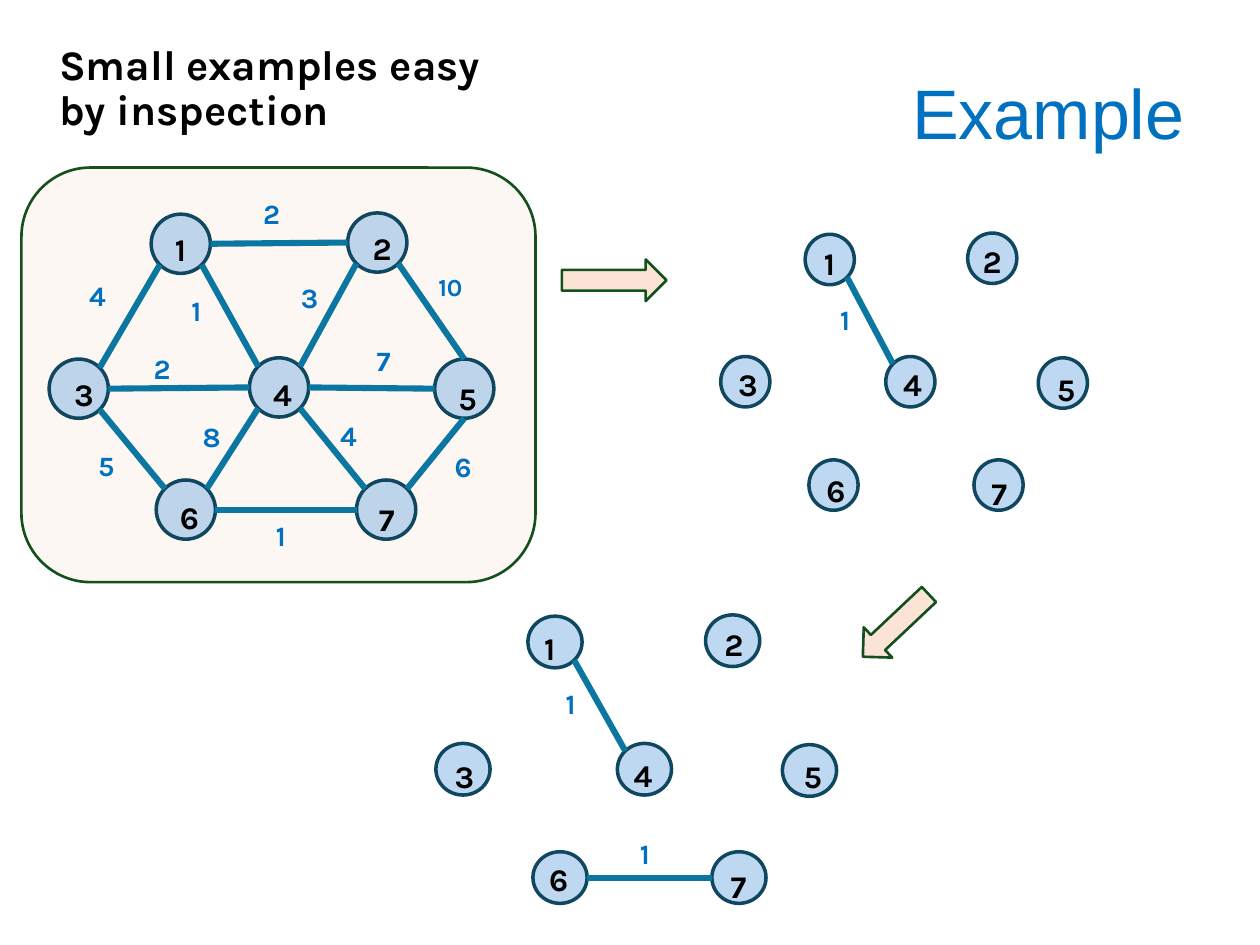
import math
from dataclasses import dataclass

import pptx
import pptx.dml.color
import pptx.enum.shapes
import pptx.enum.text
import pptx.oxml
import pptx.oxml.ns
import pptx.util
from lxml import etree
from pptx.util import Inches


@dataclass(frozen=True)
class Theme:
    blue: str = "0070C0"
    black: str = "000000"
    node: str = "71AAE0"
    node_line: str = "104760"
    edge: str = "0B76A0"
    peach: str = "FBE3D6"
    green: str = "13501B"
    title_font: str = "Arial"
    body_font: str = "Karla"
    title_size: int = 40
    body_size: int = 24
    label_size: int = 18
    weight_size: int = 16
    small_weight_size: int = 14


theme = Theme()
rgb = pptx.dml.color.RGBColor.from_string
Shape = pptx.enum.shapes.MSO_SHAPE
Align = pptx.enum.text.PP_ALIGN
Anchor = pptx.enum.text.MSO_ANCHOR
AutoSize = pptx.enum.text.MSO_AUTO_SIZE


def add_outlined(shapes, kind, bounds, fill, line, width, opacity=100):
    shape = shapes.add_shape(kind, *map(Inches, bounds))
    shape.shadow.inherit = False
    shape.fill.solid()
    shape.fill.fore_color.rgb = rgb(fill)
    shape.line.color.rgb = rgb(line)
    shape.line.width = pptx.util.Pt(width)
    if opacity < 100:
        color = shape.fill._xPr.find(".//" + pptx.oxml.ns.qn("a:srgbClr"))
        alpha = etree.SubElement(color, pptx.oxml.ns.qn("a:alpha"))
        alpha.set("val", str(opacity * 1000))
    return shape


def add_label(shapes, bounds, text, size, color):
    box = shapes.add_textbox(*map(Inches, bounds))
    box.text_frame.word_wrap = True
    box.text_frame.auto_size = AutoSize.SHAPE_TO_FIT_TEXT
    para = box.text_frame.paragraphs[0]
    para.space_after = pptx.util.Pt(6)
    span = para.add_run()
    span.text = text
    span.font.name = theme.body_font
    span.font.size = pptx.util.Pt(size)
    span.font.bold = True
    span.font.color.rgb = rgb(color)


# Nodes: left, top, label left, label top, label width.
# Edges: first node, its side, second node, its side.
# Weights: text, left, top.
graphs = [
    {
        "panel": (0.17, 1.33, 4.08, 3.29),
        "node_size": (0.47, 0.47),
        "label_height": 0.32,
        "weight_box": (0.41, 0.37),
        "nodes": [
            (1.2, 1.7, 1.29, 1.78, 0.41),
            (2.76, 1.69, 2.86, 1.77, 0.41),
            (0.39, 2.85, 0.49, 2.93, 0.44),
            (1.98, 2.84, 2.07, 2.93, 0.27),
            (3.45, 2.85, 3.54, 2.96, 0.28),
            (1.24, 3.81, 1.33, 3.9, 0.41),
            (2.83, 3.81, 2.91, 3.92, 0.37),
        ],
        "edges": [
            (1, "E", 2, "W"), (1, "SW", 3, "NE"), (1, "SE", 4, "NW"),
            (2, "SW", 4, "NE"), (2, "SE", 5, "N"), (4, "W", 3, "E"),
            (5, "W", 4, "E"), (3, "SE", 6, "NW"), (4, "SW", 6, "NE"),
            (4, "SE", 7, "NW"), (5, "S", 7, "NE"), (7, "W", 6, "E"),
        ],
        "weights": [
            ("2", 1.99, 1.51), ("4", 0.61, 2.16), ("1", 1.42, 2.28),
            ("3", 2.29, 2.18), ("10", 3.38, 2.11), ("2", 1.12, 2.74),
            ("7", 2.89, 2.68), ("5", 0.68, 3.51), ("8", 1.51, 3.28),
            ("4", 2.6, 3.27), ("6", 3.51, 3.52), ("1", 2.09, 4.07),
        ],
    },
    {
        "panel": None,
        "node_size": (0.39, 0.4),
        "label_height": 0.27,
        "weight_box": (0.34, 0.31),
        "nodes": [
            (6.39, 1.86, 6.44, 1.89, 0.34),
            (7.68, 1.85, 7.7, 1.87, 0.34),
            (5.72, 2.83, 5.76, 2.85, 0.36),
            (7.03, 2.83, 7.07, 2.85, 0.22),
            (8.24, 2.84, 8.29, 2.89, 0.23),
            (6.42, 3.65, 6.46, 3.69, 0.34),
            (7.73, 3.65, 7.77, 3.71, 0.31),
        ],
        "edges": [(1, "SE", 4, "NW")],
        "weights": [("1", 6.57, 2.35)],
    },
    {
        "panel": None,
        "node_size": (0.43, 0.41),
        "label_height": 0.29,
        "weight_box": (0.37, 0.33),
        "nodes": [
            (4.19, 4.89, 4.22, 4.94, 0.37),
            (5.6, 4.88, 5.65, 4.91, 0.37),
            (3.46, 5.9, 3.51, 5.96, 0.39),
            (4.9, 5.9, 4.93, 5.95, 0.24),
            (6.21, 5.91, 6.28, 5.96, 0.25),
            (4.23, 6.76, 4.26, 6.78, 0.37),
            (5.65, 6.76, 5.7, 6.83, 0.33),
        ],
        "edges": [(1, "SE", 4, "NW"), (6, "E", 7, "W")],
        "weights": [("1", 4.39, 5.4), ("1", 4.98, 6.59)],
    },
]
sides = ["E", "SE", "S", "SW", "W", "NW", "N", "NE"]

deck = pptx.Presentation()
deck.slide_width = Inches(10)
deck.slide_height = Inches(7.5)
page = deck.slides.add_slide(deck.slide_layouts[5])

title = page.shapes.title
title.left, title.top, title.width, title.height = map(Inches, (6.44, 0.3, 3.06, 1.25))
title.text_frame.vertical_anchor = Anchor.MIDDLE
para = title.text_frame.paragraphs[0]
para.alignment = Align.RIGHT
para.line_spacing = 0.9
span = para.add_run()
span.text = "Example"
span.font.name = theme.title_font
span.font.size = pptx.util.Pt(theme.title_size)
span.font.color.rgb = rgb(theme.blue)

box = page.shapes.add_textbox(*map(Inches, (0.25, 0.3, 9.25, 6.27)))
box.text_frame.word_wrap = True
for index, text in enumerate(["Small examples easy", "by inspection"]):
    para = box.text_frame.add_paragraph() if index else box.text_frame.paragraphs[0]
    para.line_spacing = 0.9
    para._p.get_or_add_pPr().set("marL", str(Inches(0.12)))
    span = para.add_run()
    span.text = text
    span.font.name = theme.body_font
    span.font.size = pptx.util.Pt(theme.body_size)
    span.font.bold = True
    span.font.color.rgb = rgb(theme.black)

for graph in graphs:
    shapes = page.shapes.add_group_shape().shapes
    width, height = graph["node_size"]
    if graph["panel"]:
        add_outlined(shapes, Shape.ROUNDED_RECTANGLE, graph["panel"],
                     theme.peach, theme.green, 1.5, 28)
    for left, top, *label in graph["nodes"]:
        add_outlined(shapes, Shape.OVAL, (left, top, width, height),
                     theme.node, theme.node_line, 2, 45)
    for start, start_side, end, end_side in graph["edges"]:
        points = []
        for number, side in [(start, start_side), (end, end_side)]:
            left, top, *label = graph["nodes"][number - 1]
            angle = sides.index(side) * math.pi / 4
            points += [left + width / 2 * (1 + math.cos(angle)),
                       top + height / 2 * (1 + math.sin(angle))]
        edge = shapes.add_connector(pptx.enum.shapes.MSO_CONNECTOR.STRAIGHT,
                                    *map(Inches, points))
        edge.line.color.rgb = rgb(theme.edge)
        edge.line.width = pptx.util.Pt(3.5)
        etree.SubElement(edge._element.spPr, pptx.oxml.ns.qn("a:effectLst"))
    for number, (left, top, *label) in enumerate(graph["nodes"], 1):
        add_label(shapes, (*label, graph["label_height"]), str(number),
                  theme.label_size, theme.black)
    for text, left, top in graph["weights"]:
        wide = len(text) > 1
        size = theme.small_weight_size if wide else theme.weight_size
        extent = (0.62, 0.34) if wide else graph["weight_box"]
        add_label(shapes, (left, top, *extent), text, size, theme.blue)

for bounds, rotation in [((4.46, 2.06, 0.83, 0.33), 0), ((6.75, 4.8, 0.72, 0.33), 136.7)]:
    arrow = add_outlined(page.shapes, Shape.RIGHT_ARROW, bounds, theme.peach, theme.green, 1.5)
    arrow.rotation = rotation

deck.save("out.pptx")
